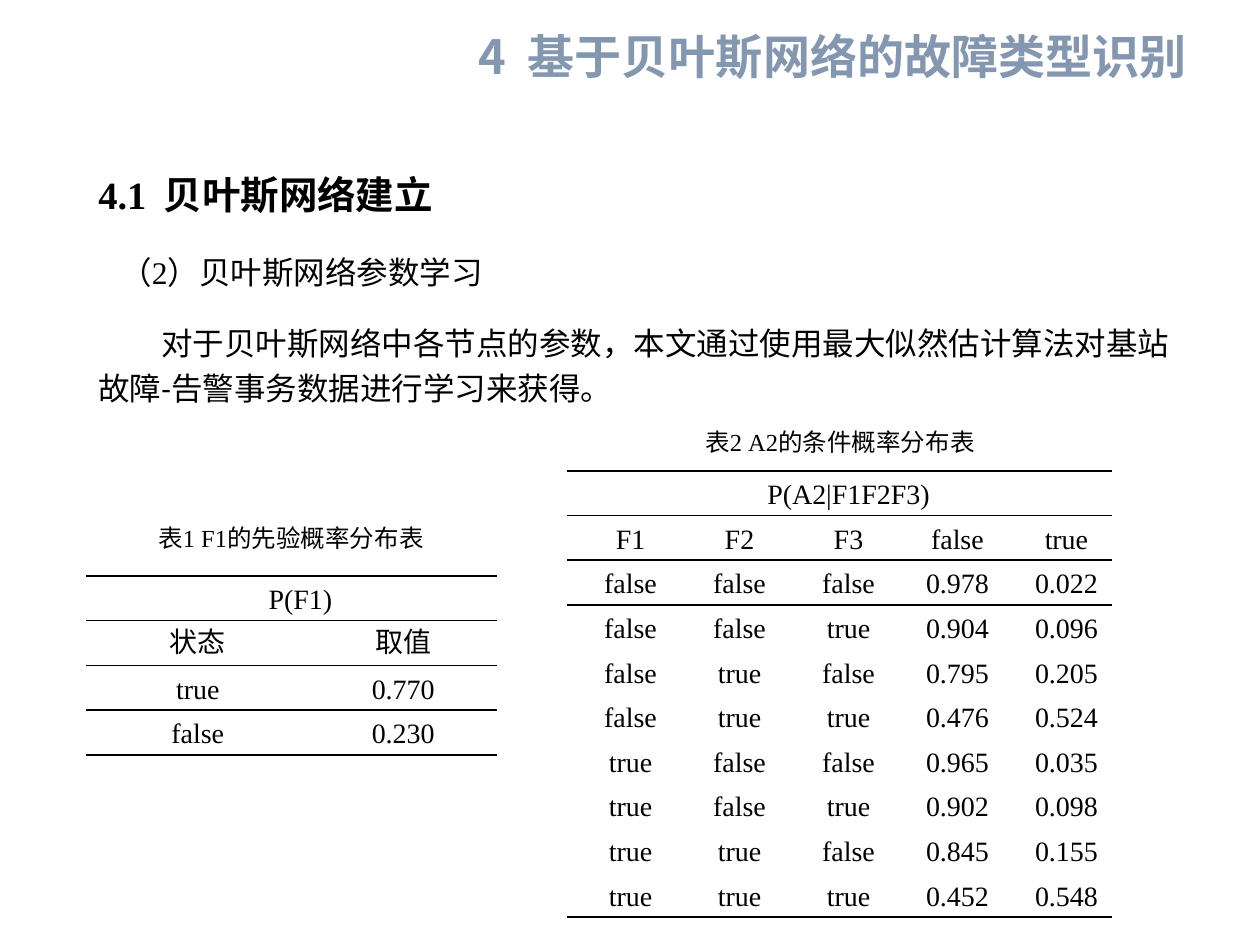
from pptx import Presentation
from pptx.dml.color import RGBColor
from pptx.enum.text import MSO_ANCHOR as Anchor, MSO_AUTO_SIZE as AutoSize, PP_ALIGN as Align
from pptx.oxml.ns import qn
from pptx.util import Emu, Inches, Pt
from lxml.etree import SubElement

SCALE = Inches(1) / 126
SERIF, SANS, CJK = "Times New Roman", "Calibri", "Noto Sans CJK SC"
BLACK, BLUE_GREY = "000000", "8497B0"
PLAIN_TABLE = "{2D5ABB26-0587-4C30-8999-92F81FD0307C}"
THICK, THIN = 1.5, 1


def px(length):
    return Emu(round(length * SCALE))


def color(hex_code):
    return RGBColor.from_string(hex_code)


def write(frame, spans, size, bold=False, fill=BLACK, align=Align.LEFT, indent=0, spacing=None):
    """Fill the first paragraph with (text, font) spans."""
    para = frame.paragraphs[0]
    para.alignment = align
    if spacing:
        para.line_spacing = spacing
    if indent:
        properties = para._p.get_or_add_pPr()
        properties.set("marL", "0")
        properties.set("indent", str(px(indent)))
    for text, font_name in spans:
        span = para.add_run()
        span.text = text
        font = span.font
        font.name, font.size, font.bold = font_name, Pt(size), bold
        font.color.rgb = color(fill)
        SubElement(font._element, qn("a:ea")).set("typeface", CJK)


def rule(cell, side, width):
    """Draw a cell border; side is lnT or lnB."""
    properties = cell._tc.get_or_add_tcPr()
    line = SubElement(properties, qn(f"a:{side}"), w=str(Pt(width)))
    fill = SubElement(line, qn("a:solidFill"))
    SubElement(fill, qn("a:srgbClr"), val=BLACK)


class SlideBuilder:
    def __init__(self, deck):
        self.page = deck.slides.add_slide(deck.slide_layouts[5])

    def place(self, box, left, top, width, height):
        box.left, box.top, box.width, box.height = map(px, (left, top, width, height))
        frame = box.text_frame
        frame.word_wrap = True
        frame.auto_size = AutoSize.SHAPE_TO_FIT_TEXT
        frame.vertical_anchor = Anchor.TOP
        return frame

    def title(self, area, text):
        frame = self.place(self.page.shapes.title, *area)
        write(frame, [(text, CJK)], 26.9, bold=True, fill=BLUE_GREY, align=Align.RIGHT)

    def text(self, area, spans, size, **style):
        box = self.page.shapes.add_textbox(0, 0, 0, 0)
        write(self.place(box, *area), spans, size, **style)

    def caption(self, left, top, text):
        self.text((left, top, 420, 43), [(text, SERIF)], 14, align=Align.CENTER)

    def table(self, area, heading, rows):
        """Three-line table with a heading merged across all columns."""
        row_count, column_count = len(rows) + 1, len(rows[0])
        left, top, width, height = area
        shape = self.page.shapes.add_table(row_count, column_count, *map(px, area))
        table = shape.table
        table.first_row = table.horz_banding = False
        table._tbl.tblPr.find(qn("a:tableStyleId")).text = PLAIN_TABLE
        for column in table.columns:
            column.width = px(width / column_count)
        for row in table.rows:
            row.height = px(height / row_count)
        table.cell(0, 0).merge(table.cell(0, column_count - 1))

        grid = [[heading] + [""] * (column_count - 1)] + rows
        top_rules = {0: THICK, 1: THIN, 2: THIN}
        bottom_rules = {0: THIN, 1: THIN, row_count - 1: THICK}
        for row_index, values in enumerate(grid):
            for column_index, value in enumerate(values):
                cell = table.cell(row_index, column_index)
                cell.margin_left = cell.margin_right = px(9)
                cell.margin_top = cell.margin_bottom = 0
                cell.vertical_anchor = Anchor.MIDDLE
                for side, rules in (("lnT", top_rules), ("lnB", bottom_rules)):
                    if row_index in rules:
                        rule(cell, side, rules[row_index])
                cell.fill.background()
                if value:
                    write(cell.text_frame, [(value, SERIF)], 16, align=Align.CENTER,
                          indent=18, spacing=Pt(20))


def main():
    deck = Presentation()
    deck.slide_width, deck.slide_height = px(1260), px(945)
    slide = SlideBuilder(deck)

    slide.title((418, 21, 781, 69), "4  基于贝叶斯网络的故障类型识别")
    slide.text((86, 165, 868, 59), [("4.1", SERIF), ("  贝叶斯网络建立", SANS)], 22, bold=True)
    slide.text((108, 247, 583, 50),
               [("（", SANS), ("2", SERIF), ("）贝叶斯网络参数学习", SANS)], 18)
    slide.text((86, 310, 1115, 105),
               [("对于贝叶斯网络中各节点的参数，本文通过使用最大似然估计算法对基站"
                 "故障-告警事务数据进行学习来获得。", SANS)],
               18, indent=63, spacing=1.2)

    slide.table((86, 576, 411, 179), "P(F1)",
                [["状态", "取值"], ["true", "0.770"], ["false", "0.230"]])
    slide.table((567, 471, 545, 446), "P(A2|F1F2F3)", [
        ["F1", "F2", "F3", "false", "true"],
        ["false", "false", "false", "0.978", "0.022"],
        ["false", "false", "true", "0.904", "0.096"],
        ["false", "true", "false", "0.795", "0.205"],
        ["false", "true", "true", "0.476", "0.524"],
        ["true", "false", "false", "0.965", "0.035"],
        ["true", "false", "true", "0.902", "0.098"],
        ["true", "true", "false", "0.845", "0.155"],
        ["true", "true", "true", "0.452", "0.548"],
    ])
    slide.caption(81, 517, "表1 F1的先验概率分布表")
    slide.caption(630, 421, "表2 A2的条件概率分布表")
    deck.save("out.pptx")


if __name__ == "__main__":
    main()
